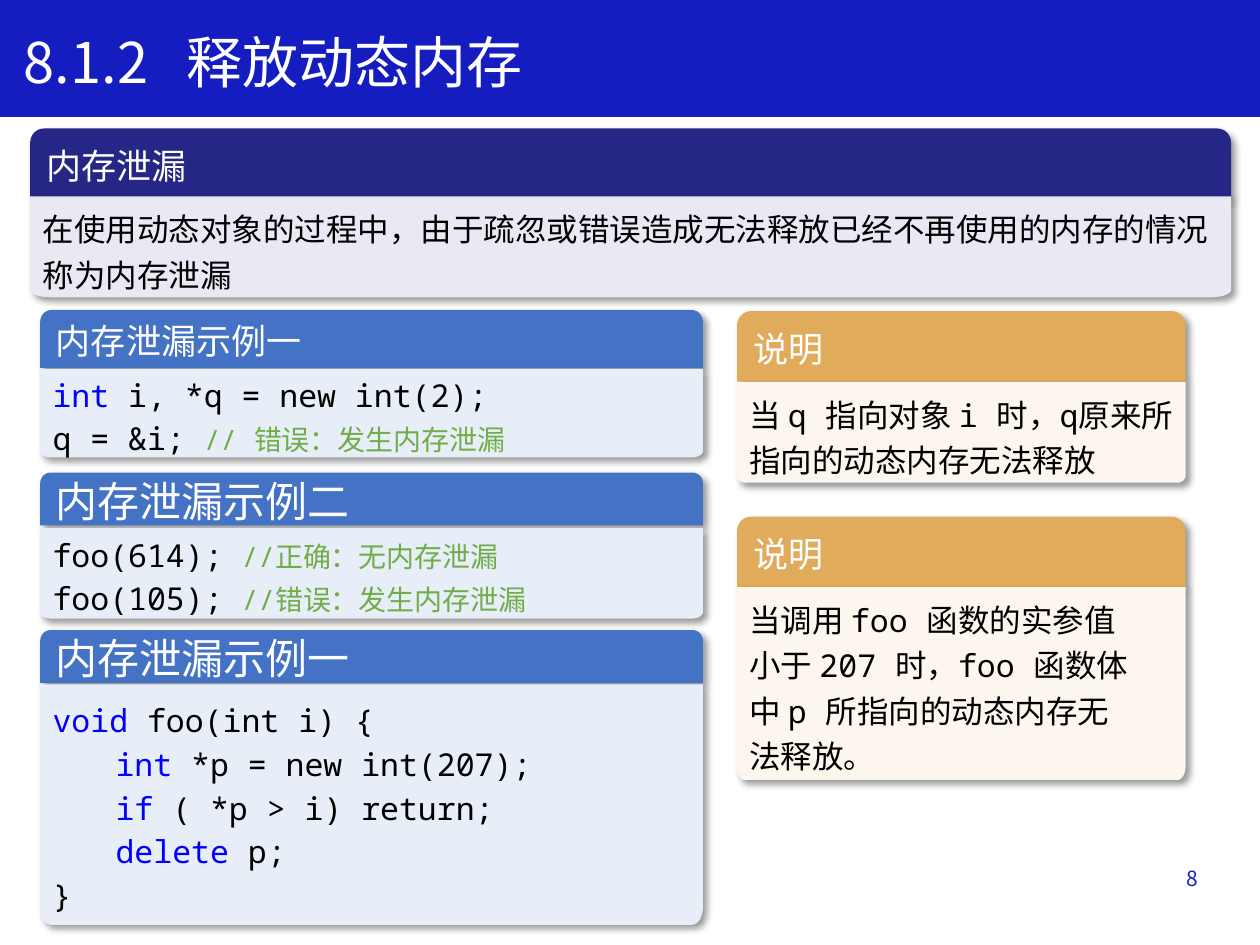
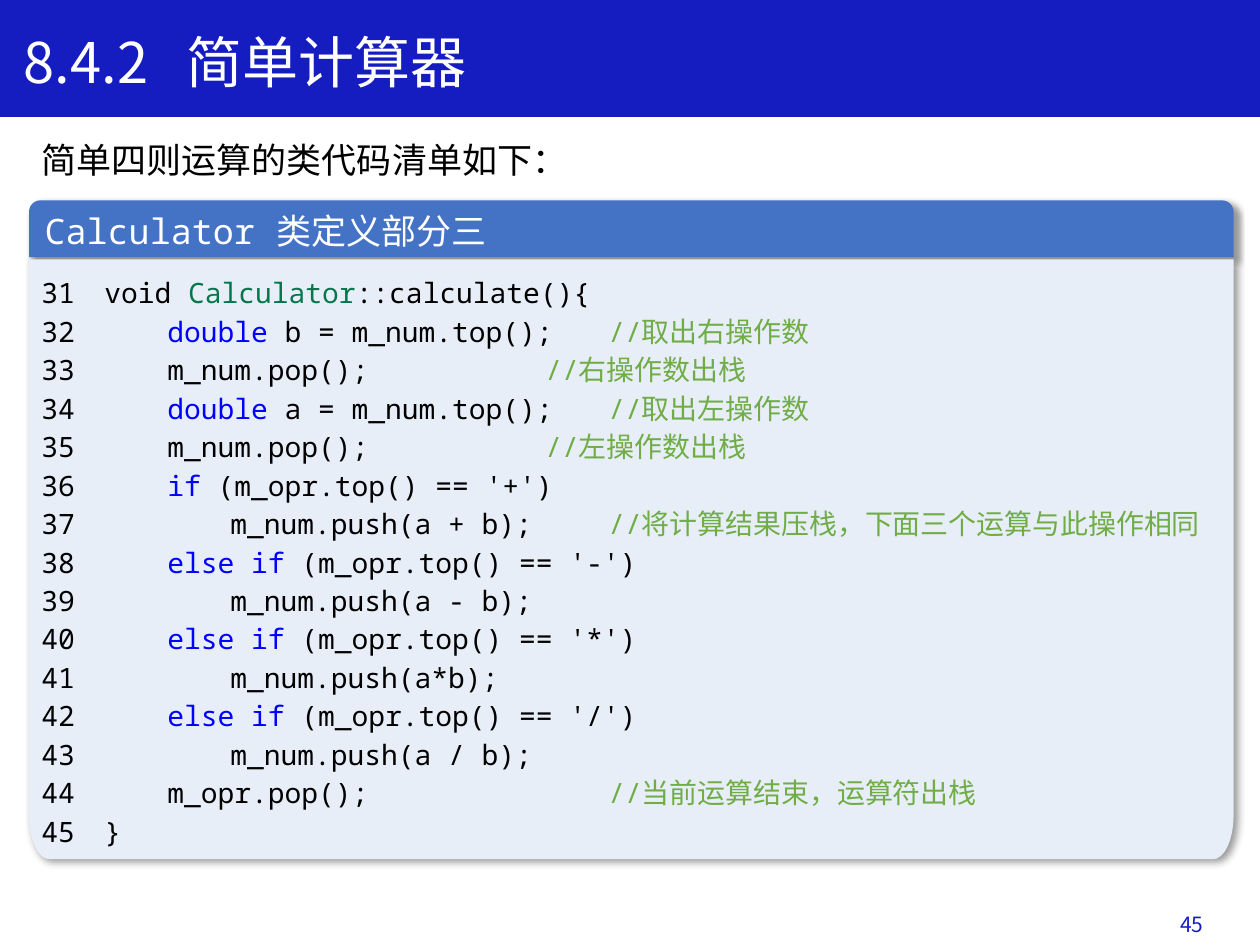
"""Build two lecture slides on dynamic memory and a simple calculator."""
import math
from dataclasses import dataclass
from typing import NamedTuple

import pptx
import pptx.dml.color
import pptx.enum.shapes
import pptx.enum.text
import pptx.oxml
import pptx.oxml.ns
import pptx.util

Pt = pptx.util.Pt
Shape = pptx.enum.shapes.MSO_SHAPE
Anchor = pptx.enum.text.MSO_ANCHOR
Align = pptx.enum.text.PP_ALIGN


@dataclass(frozen=True)
class Theme:
    """Colours, fonts and type sizes of the deck."""
    band: str = "151DC1"
    white: str = "FFFFFF"
    ink: str = "000000"
    keyword: str = "0000FF"
    comment: str = "70AD47"
    type_name: str = "08764C"
    sans: str = "Noto Sans CJK SC"
    mono: str = "Noto Sans Mono"
    title_size: float = 32
    big_head_size: float = 24
    head_size: float = 20
    body_size: float = 18
    small_size: float = 16
    number_size: float = 12
    tab: float = 36


THEME = Theme()


class Box(NamedTuple):
    """Place and size in points."""
    left: float
    top: float
    width: float
    height: float


class Span(NamedTuple):
    """Piece of a line with its own colour and, if given, size."""
    text: str
    color: str = THEME.ink
    size: float | None = None


class Style(NamedTuple):
    """Fill colours of a card."""
    head: str
    body: str


class Card(NamedTuple):
    """Heading tab above a body panel with rounded lower corners."""
    style: Style
    head: Box
    title: str
    body_top: float
    body_height: float
    lines: list[list[Span]]
    leading: float
    size: float = THEME.body_size
    title_font: str = THEME.mono
    title_size: float = THEME.head_size
    anchor: Anchor = Anchor.MIDDLE


DEFINITION = Style("262686", "E9E9F3")
CODE = Style("4472C4", "E8EEF8")
REMARK = Style("E0AB5B", "FCF6EE")


def kw(text: str) -> Span:
    """Return a keyword span."""
    return Span(text, THEME.keyword)


def note(text: str) -> Span:
    """Return a code comment span."""
    return Span(text, THEME.comment, THEME.small_size)


def plain(*texts: str) -> list[list[Span]]:
    """Return one plain line for each text."""
    return [[Span(text)] for text in texts]


def rgb(value: str) -> pptx.dml.color.RGBColor:
    """Return a colour object."""
    return pptx.dml.color.RGBColor.from_string(value)


def style_run(r, font: str, size: float, color: str) -> None:
    """Format a run."""
    r.font.name = font
    r.font.size = Pt(size)
    r.font.color.rgb = rgb(color)
    ea = pptx.oxml.parse_xml(
        f'<a:ea {pptx.oxml.ns.nsdecls("a")} typeface="{THEME.sans}"/>')
    r.font._element.find(pptx.oxml.ns.qn("a:latin")).addnext(ea)


def add_tabs(p, step: float, count: int) -> None:
    """Give a paragraph evenly spaced tab stops."""
    stops = "".join(f'<a:tab pos="{Pt(step * i)}" algn="l"/>'
                    for i in range(1, count + 1))
    p._p.get_or_add_pPr().append(pptx.oxml.parse_xml(
        f'<a:tabLst {pptx.oxml.ns.nsdecls("a")}>{stops}</a:tabLst>'))


def paint(sp, color: str, shadow: bool = False) -> None:
    """Fill a shape, drop its outline and set its shadow."""
    sp.shadow.inherit = False
    sp.fill.solid()
    sp.fill.fore_color.rgb = rgb(color)
    sp.line.fill.background()
    if shadow:
        effects = sp._element.spPr.find(pptx.oxml.ns.qn("a:effectLst"))
        effects.append(pptx.oxml.parse_xml(
            f'<a:outerShdw {pptx.oxml.ns.nsdecls("a")} blurRad="{Pt(4)}" '
            f'dist="{Pt(3)}" dir="2700000" algn="tl" rotWithShape="0">'
            '<a:srgbClr val="000000"><a:alpha val="40000"/></a:srgbClr>'
            '</a:outerShdw>'))


def write(tf, text: str, font: str, size: float, color: str,
          anchor: Anchor = Anchor.TOP, align: Align = Align.LEFT,
          tab: float = 0) -> None:
    """Set a single line in a text frame."""
    tf.word_wrap = True
    tf.vertical_anchor = anchor
    tf.text = text
    p = tf.paragraphs[0]
    p.alignment = align
    if tab:
        add_tabs(p, tab, 1)
    style_run(p.runs[0], font, size, color)


def add_label(s, box: Box, text: str, size: float, color: str, **layout) -> None:
    """Add a text box with one line."""
    tf = s.shapes.add_textbox(*map(Pt, box)).text_frame
    write(tf, text, THEME.sans, size, color, **layout)


def add_panel(shapes, box: Box):
    """Draw a rectangle whose lower corners are elliptic."""
    rx, ry = box.width * 0.017, box.height * 0.072
    right, bottom = box.left + box.width, box.top + box.height
    angles = [math.pi / 2 * i / 8 for i in range(9)]
    arc = [(rx * (1 - math.cos(a)), ry * (1 - math.sin(a))) for a in angles]
    points = [(right, box.top)]
    points += [(right - dx, bottom - dy) for dx, dy in arc]
    points += [(box.left + dx, bottom - dy) for dx, dy in reversed(arc)]
    builder = shapes.build_freeform(Pt(box.left), Pt(box.top))
    builder.add_line_segments([(Pt(x), Pt(y)) for x, y in points], close=True)
    return builder.convert_to_shape()


def add_card(s, card: Card) -> None:
    """Draw a card as a group of heading and body."""
    shapes = s.shapes.add_group_shape().shapes
    head = shapes.add_shape(Shape.ROUND_2_SAME_RECTANGLE, *map(Pt, card.head))
    head.adjustments[0] = 0.2
    head.adjustments[1] = 0
    paint(head, card.style.head, shadow=True)
    write(head.text_frame, card.title, card.title_font, card.title_size,
          THEME.white, Anchor.MIDDLE)

    body = add_panel(shapes, Box(card.head.left, card.body_top,
                                 card.head.width, card.body_height))
    paint(body, card.style.body, shadow=True)
    tf = body.text_frame
    tf.word_wrap = True
    tf.vertical_anchor = card.anchor
    for i, line in enumerate(card.lines):
        p = tf.add_paragraph() if i else tf.paragraphs[0]
        p.alignment = Align.LEFT
        if any("\t" in span.text for span in line):
            add_tabs(p, THEME.tab, 12)
        p.line_spacing = Pt(card.leading)
        for span in line:
            r = p.add_run()
            r.text = span.text
            style_run(r, THEME.mono, span.size or card.size, span.color)


def add_slide(prs, title: str, number: str, number_box: Box):
    """Add a slide with title band and page number."""
    s = prs.slides.add_slide(prs.slide_layouts[6])
    band = s.shapes.add_shape(Shape.RECTANGLE, 0, 0, prs.slide_width, Pt(66.2))
    paint(band, THEME.band)
    band.line.color.rgb = rgb(THEME.band)
    band.line.width = Pt(1)
    add_label(s, number_box, number, THEME.number_size, THEME.band,
              anchor=Anchor.MIDDLE, align=Align.RIGHT)
    add_label(s, Box(6.5, 12.2, 670.3, 46), title, THEME.title_size,
              THEME.white, tab=93.2)
    return s


def build_memory_slide(prs) -> None:
    """Build the slide on memory leaks."""
    s = add_slide(prs, "8.1.2\t释放动态内存", "8", Box(529.9, 487.4, 162, 28.8))
    left, width = 23, 378.7
    remark_left, remark_width = 421.2, 256.3
    cards = [
        Card(CODE, Box(left, 177.1, width, 33.1), "内存泄漏示例一", 211, 50.4, [
            [kw("int "), Span("i, *q = new int(2);")],
            [Span("q = &i; "), note("// 错误：发生内存泄漏")],
        ], 25),
        Card(DEFINITION, Box(17.3, 73.4, 686.2, 39.6), "内存泄漏", 112.3, 57.6,
             plain("在使用动态对象的过程中，由于疏忽或错误造成无法释放"
                   "已经不再使用的内存的情况称为内存泄漏"),
             26, title_font=THEME.sans, anchor=Anchor.TOP),
        Card(REMARK, Box(remark_left, 177.8, remark_width, 40.3), "说明",
             218.2, 57.6,
             plain("当 q 指向对象 i 时，q原来所指向的动态内存无法释放"),
             26, title_font=THEME.sans, anchor=Anchor.TOP),
        Card(CODE, Box(left, 270, width, 30.2), "内存泄漏示例二", 301.7, 51.8, [
            [Span("foo(614); "), note("//正确：无内存泄漏")],
            [Span("foo(105); "), note("//错误：发生内存泄漏")],
        ], 25, title_size=THEME.big_head_size),
        Card(CODE, Box(left, 360, width, 30.2), "内存泄漏示例一", 391, 137.5, [
            [kw("void "), Span("foo(int i) {")],
            [kw("\tint "), Span("*p = new int(207);")],
            [kw("\tif "), Span("( *p > i) return;")],
            [kw("\tdelete "), Span("p;")],
            [Span("}")],
        ], 25, title_size=THEME.big_head_size),
        Card(REMARK, Box(remark_left, 295.2, remark_width, 40.3), "说明",
             335.5, 110.2,
             plain("当调用 foo 函数的实参值", "小于 207 时，foo 函数体",
                   "中 p 所指向的动态内存无", "法释放。"),
             26, title_font=THEME.sans, anchor=Anchor.TOP),
    ]
    for card in cards:
        add_card(s, card)


def build_calculator_slide(prs) -> None:
    """Build the slide with the calculator listing."""
    s = add_slide(prs, "8.4.2\t简单计算器", "45", Box(532.8, 513.4, 162, 28.8))
    add_label(s, Box(16.6, 75.6, 678.2, 31.7), "简单四则运算的类代码清单如下：",
              THEME.head_size, THEME.ink)
    listing = [
        [Span("void "), Span("Calculator", THEME.type_name),
         Span("::calculate(){")],
        [kw("\tdouble"), Span(" b = m_num.top();\t"), note("//取出右操作数")],
        [Span("\tm_num.pop();\t\t\t"), note("//右操作数出栈")],
        [kw("\tdouble"), Span(" a = m_num.top();\t"), note("//取出左操作数")],
        [Span("\tm_num.pop();\t\t\t"), note("//左操作数出栈")],
        [kw("\tif"), Span(" (m_opr.top() == '+')")],
        [Span("\t\tm_num.push(a + b);\t\t"),
         note("//将计算结果压栈，下面三个运算与此操作相同")],
        [kw("\telse if"), Span(" (m_opr.top() == '-')")],
        [Span("\t\tm_num.push(a - b);")],
        [kw("\telse if"), Span(" (m_opr.top() == '*')")],
        [Span("\t\tm_num.push(a*b);")],
        [kw("\telse if"), Span(" (m_opr.top() == '/')")],
        [Span("\t\tm_num.push(a / b);")],
        [Span("\tm_opr.pop();\t\t\t\t"), note("//当前运算结束，运算符出栈")],
        [Span("}")],
    ]
    lines = [[Span(f"{n}\t"), *line] for n, line in enumerate(listing, 31)]
    add_card(s, Card(CODE, Box(16.6, 114.5, 688.3, 32.4),
                     "Calculator 类定义部分三", 148.3, 342.7, lines, 22,
                     size=THEME.small_size))


def main() -> None:
    """Build and save the deck."""
    prs = pptx.Presentation()
    prs.slide_width, prs.slide_height = Pt(720), Pt(540)
    build_memory_slide(prs)
    build_calculator_slide(prs)
    prs.save("out.pptx")


if __name__ == "__main__":
    main()
